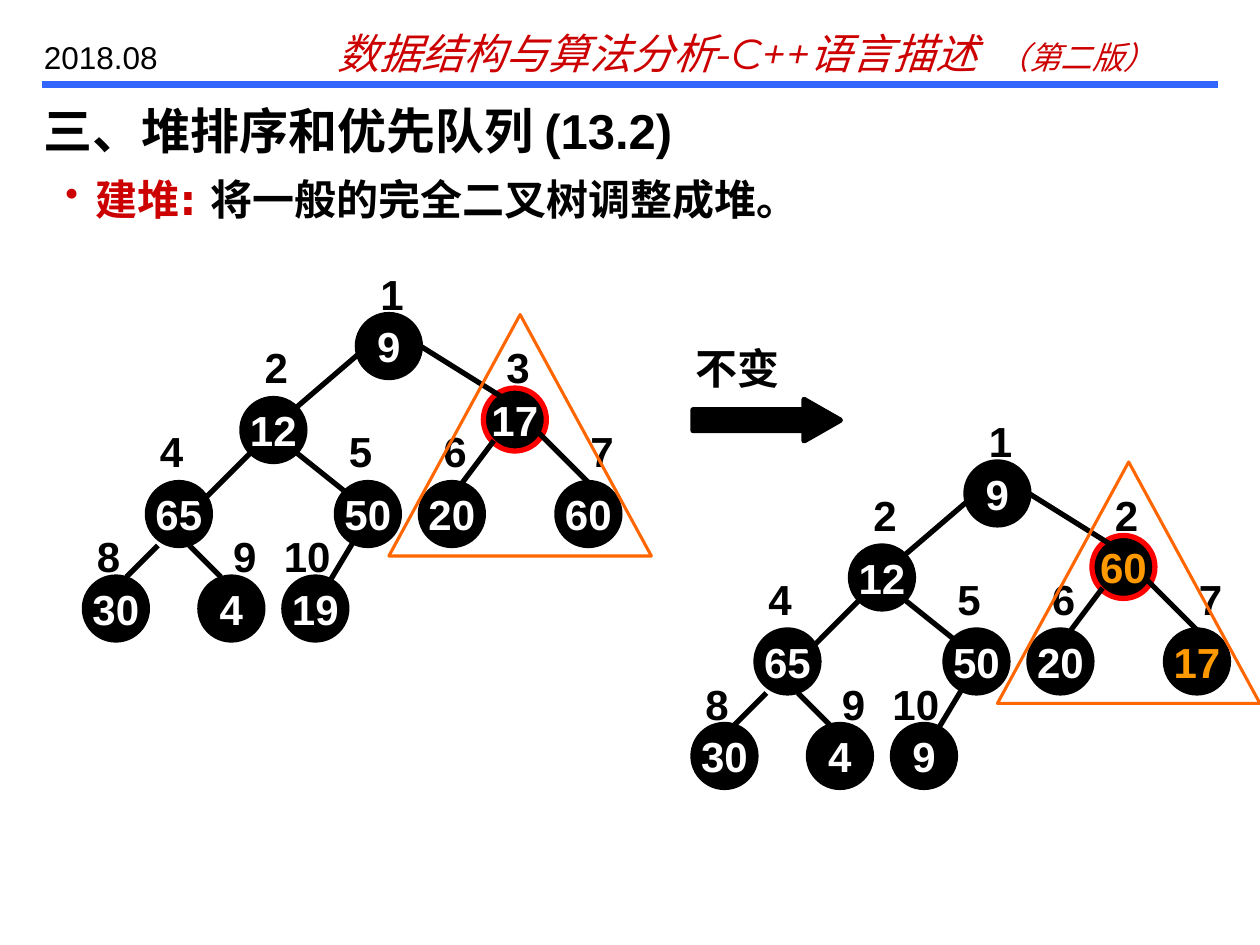
from dataclasses import dataclass

from lxml.etree import SubElement
from pptx import Presentation
from pptx.dml.color import RGBColor
from pptx.enum.shapes import MSO_CONNECTOR as Connector, MSO_SHAPE as Shape
from pptx.enum.text import MSO_ANCHOR as Anchor, MSO_AUTO_SIZE as AutoSize, PP_ALIGN as Align
from pptx.oxml.ns import qn
from pptx.util import Inches, Pt


@dataclass(frozen=True)
class Theme:
    black: str = "000000"
    white: str = "FFFFFF"
    red: str = "CC0000"
    ring: str = "FF0000"
    orange: str = "FF6600"
    moved: str = "FF9900"
    blue: str = "3366FF"
    font: str = "Arial"
    course_font: str = "Montserrat"
    bullet_font: str = "DejaVu Sans"
    title: int = 28
    body: int = 24
    small: int = 18
    stroke: float = 3
    rule: float = 4
    outline: float = 1.75


THEME = Theme()
UNIT = 1 / 12
NODE_SIZE = 6
NODE_SPOTS = [(26, 5), (15, 13), (38, 12), (6, 21), (24, 21),
              (32, 21), (45, 21), (0, 30), (11, 30), (19, 30)]
LABEL_SPOTS = [(27, 0), (16, 7), (39, 7), (6, 15), (24, 15),
               (33, 15), (47, 15), (0, 25), (13, 25), (19, 25)]
EDGES = [(27, 8, 20, 14), (32, 8, 40, 13), (16, 18, 11, 23),
         (20, 18, 25, 22), (39, 17, 36, 21), (43, 16, 48, 21),
         (7, 27, 4, 30), (10, 27, 13, 30), (26, 26, 23, 31)]
SUBTREE = (29, 5, 25, 23)
ROOT_OF_SUBTREE = 2


def rgb(color):
    return RGBColor.from_string(color)


def set_font(font, size, color, name=THEME.font, bold=False, italic=False):
    font.size = Pt(size)
    font.color.rgb = rgb(color)
    font.name = name
    font.bold = bold
    font.italic = italic


def add_text_box(shapes, left, top, width, height):
    box = shapes.add_textbox(Inches(left), Inches(top), Inches(width), Inches(height))
    box.text_frame.word_wrap = True
    box.text_frame.auto_size = AutoSize.SHAPE_TO_FIT_TEXT
    return box


def add_text(shapes, bounds, text, size, bold=True):
    box = add_text_box(shapes, *bounds)
    para = box.text_frame.paragraphs[0]
    para.text = text
    set_font(para.font, size, THEME.black, bold=bold)
    return box


def add_line(shapes, x1, y1, x2, y2, color, width):
    line = shapes.add_connector(Connector.STRAIGHT, Inches(x1), Inches(y1), Inches(x2), Inches(y2))
    line.line.color.rgb = rgb(color)
    line.line.width = Pt(width)
    SubElement(line._element.spPr, qn("a:effectLst"))


def add_outlined(shapes, kind, bounds, fill, color, width):
    shape = shapes.add_shape(kind, *map(Inches, bounds))
    shape.shadow.inherit = False
    if fill:
        shape.fill.solid()
        shape.fill.fore_color.rgb = rgb(fill)
    else:
        shape.fill.background()
    shape.line.color.rgb = rgb(color)
    shape.line.width = Pt(width)
    return shape


def add_header(page, left, top, width):
    add_line(page.shapes, left, top + 0.5, left + width, top + 0.5, THEME.blue, THEME.rule)
    course = add_text_box(page.shapes, left + 2.25, top, 7, 0.5)
    para = course.text_frame.paragraphs[0]
    parts = [("数据结构与算法分析-C++语言描述", THEME.body),
             (" ", THEME.body), ("（第二版）", THEME.small)]
    for text, size in parts:
        span = para.add_run()
        span.text = text
        set_font(span.font, size, THEME.red, THEME.course_font, italic=True)
    para.runs[1]._r.get_or_add_rPr().set("spc", "600")
    add_text(page.shapes, (left - 0.08, top + 0.08, 1.42, 0.4), "2018.08", THEME.small, bold=False)


def add_bullet(page, left, top, width):
    box = add_text_box(page.shapes, left, top, width, 0.5)
    para = box.text_frame.paragraphs[0]
    props = para._p.get_or_add_pPr()
    indent = Inches(0.24)
    props.set("marL", str(indent))
    props.set("indent", str(-indent))
    SubElement(SubElement(props, qn("a:buClr")), qn("a:srgbClr"), val=THEME.red)
    SubElement(props, qn("a:buSzPct"), val="90000")
    SubElement(props, qn("a:buChar"), char="•")
    for text, color in [("建堆: ", THEME.red), ("将一般的完全二叉树调整成堆。", THEME.black)]:
        span = para.add_run()
        span.text = text
        set_font(span.font, THEME.body, color, THEME.bullet_font, bold=True)


def add_node(shapes, bounds, value, ring, color):
    node = add_outlined(shapes, Shape.OVAL, bounds, THEME.black, ring, THEME.stroke)
    frame = node.text_frame
    frame.word_wrap = False
    frame.vertical_anchor = Anchor.MIDDLE
    para = frame.paragraphs[0]
    para.text = value
    para.alignment = Align.CENTER
    set_font(para.font, THEME.body, color, bold=True)


def add_tree(page, left, top, values, labels, moved=()):
    shapes = page.shapes.add_group_shape().shapes

    def place(x, y):
        return left + x * UNIT, top + y * UNIT

    size = NODE_SIZE * UNIT
    for index, (spot, value) in enumerate(zip(NODE_SPOTS, values)):
        ring = THEME.ring if index == ROOT_OF_SUBTREE else THEME.black
        color = THEME.moved if index in moved else THEME.white
        add_node(shapes, (*place(*spot), size, size), value, ring, color)
    for x1, y1, x2, y2 in EDGES:
        add_line(shapes, *place(x1, y1), *place(x2, y2), THEME.black, THEME.stroke)
    for spot, label in zip(LABEL_SPOTS, labels):
        box = add_text(shapes, (*place(*spot), size, size), label, THEME.body)
        if len(label) > 1:
            box.text_frame.margin_left = box.text_frame.margin_right = 0
    x, y, width, height = SUBTREE
    add_outlined(shapes, Shape.ISOSCELES_TRIANGLE, (*place(x, y), width * UNIT, height * UNIT),
                 None, THEME.orange, THEME.outline)


def add_step(page, left, top, caption):
    shapes = page.shapes.add_group_shape().shapes
    arrow = add_outlined(shapes, Shape.RIGHT_ARROW, (left + 0.08, top + 0.5, 1.17, 0.33),
                         THEME.black, THEME.black, THEME.stroke)
    arrow.adjustments[1] = 0.875
    add_text(shapes, (left, top, 1.92, 0.5), caption, THEME.body)


def main():
    deck = Presentation()
    deck.slide_width, deck.slide_height = Inches(10), Inches(7.5)
    page = deck.slides.add_slide(deck.slide_layouts[6])
    add_header(page, 0.33, 0.17, 9.34)
    add_text(page.shapes, (0.25, 0.75, 8.5, 0.58), "三、堆排序和优先队列 (13.2)", THEME.title)
    add_bullet(page, 0.42, 1.33, 9.08)
    add_tree(page, 0.67, 2.08, "9 12 17 65 50 20 60 30 4 19".split(),
             "1 2 3 4 5 6 7 8 9 10".split())
    add_tree(page, 5.5, 3.25, "9 12 60 65 50 20 17 30 4 9".split(),
             "1 2 2 4 5 6 7 8 9 10".split(), moved=(2, 6))
    add_step(page, 5.42, 2.67, "不变")
    deck.save("out.pptx")


if __name__ == "__main__":
    main()
